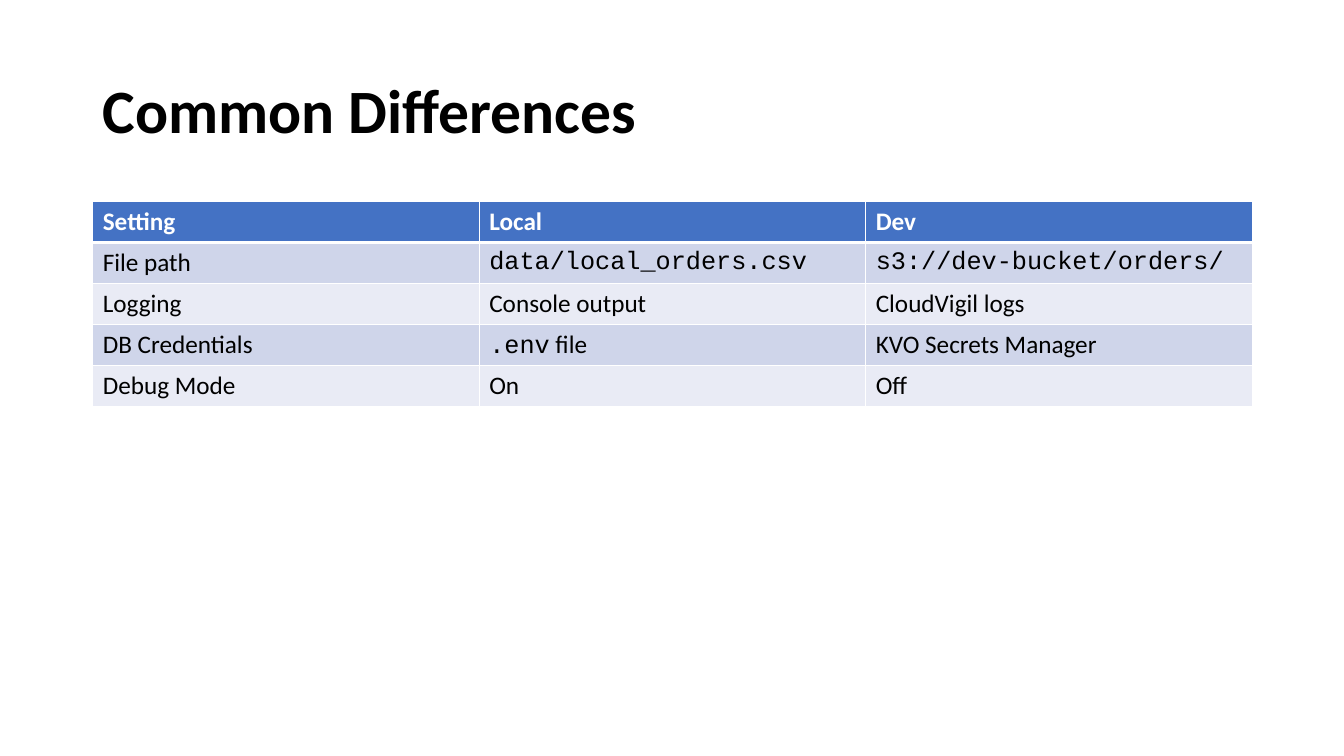
"""Build a slide with a table comparing local and dev settings."""
from dataclasses import dataclass

from lxml.etree import SubElement
from pptx import Presentation
from pptx.dml.color import RGBColor
from pptx.enum.text import MSO_ANCHOR
from pptx.oxml.ns import qn
from pptx.util import Inches, Pt


@dataclass(frozen=True)
class Theme:
    text: str = "000000"
    white: str = "FFFFFF"
    header: str = "4472C4"
    band_dark: str = "CFD5EA"
    band_light: str = "E9EBF5"
    sans: str = "Calibri"
    mono: str = "Courier New"
    title_size: int = 44
    table_size: int = 18


theme = Theme()


def style_font(font, size, color, bold):
    font.name = theme.sans
    font.size = Pt(size)
    font.color.rgb = RGBColor.from_string(color)
    font.bold = bold


def add_border(cell, side, points):
    line = SubElement(cell._tc.get_or_add_tcPr(), qn(f"a:ln{side}"), w=str(Pt(points)))
    fill = SubElement(line, qn("a:solidFill"))
    SubElement(fill, qn("a:srgbClr"), val=theme.white)


deck = Presentation()
deck.slide_width = Inches(13.33)
deck.slide_height = Inches(7.5)
page = deck.slides.add_slide(deck.slide_layouts[6])

title_box = page.shapes.add_textbox(Inches(0.92), Inches(0.4), Inches(11.5), Inches(1.45))
title_frame = title_box.text_frame
title_frame.word_wrap = True
title_frame.vertical_anchor = MSO_ANCHOR.MIDDLE
title = title_frame.paragraphs[0]
title.text = "Common Differences"
title.line_spacing = 0.9
style_font(title.font, theme.title_size, theme.text, True)

settings = [
    ["Setting", "Local", "Dev"],
    ["File path", "data/local_orders.csv", "s3://dev-bucket/orders/"],
    ["Logging", "Console output", "CloudVigil logs"],
    ["DB Credentials", ".env file", "KVO Secrets Manager"],
    ["Debug Mode", "On", "Off"],
]
code_spans = ["data/local_orders.csv", "s3://dev-bucket/orders/", ".env"]

table = page.shapes.add_table(
    len(settings), len(settings[0]), Inches(0.92), Inches(2), Inches(11.5), Inches(2.03)
).table

for row_index, row in enumerate(settings):
    is_header = row_index == 0
    band = theme.band_dark if row_index % 2 else theme.band_light
    for column_index, text in enumerate(row):
        cell = table.cell(row_index, column_index)
        cell.vertical_anchor = MSO_ANCHOR.MIDDLE
        add_border(cell, "L", 1)
        add_border(cell, "R", 1)
        add_border(cell, "T", 3 if row_index == 1 else 1)
        add_border(cell, "B", 3 if is_header else 1)
        cell.fill.solid()
        cell.fill.fore_color.rgb = RGBColor.from_string(theme.header if is_header else band)

        para = cell.text_frame.paragraphs[0]
        code = next((span for span in code_spans if text.startswith(span)), "")
        style_font(para.font, theme.table_size, theme.white if is_header else theme.text, is_header)
        if code:
            span = para.add_run()
            span.text = code
            span.font.name = theme.mono
        if text != code:
            para.add_run().text = text.removeprefix(code)

deck.save("out.pptx")
